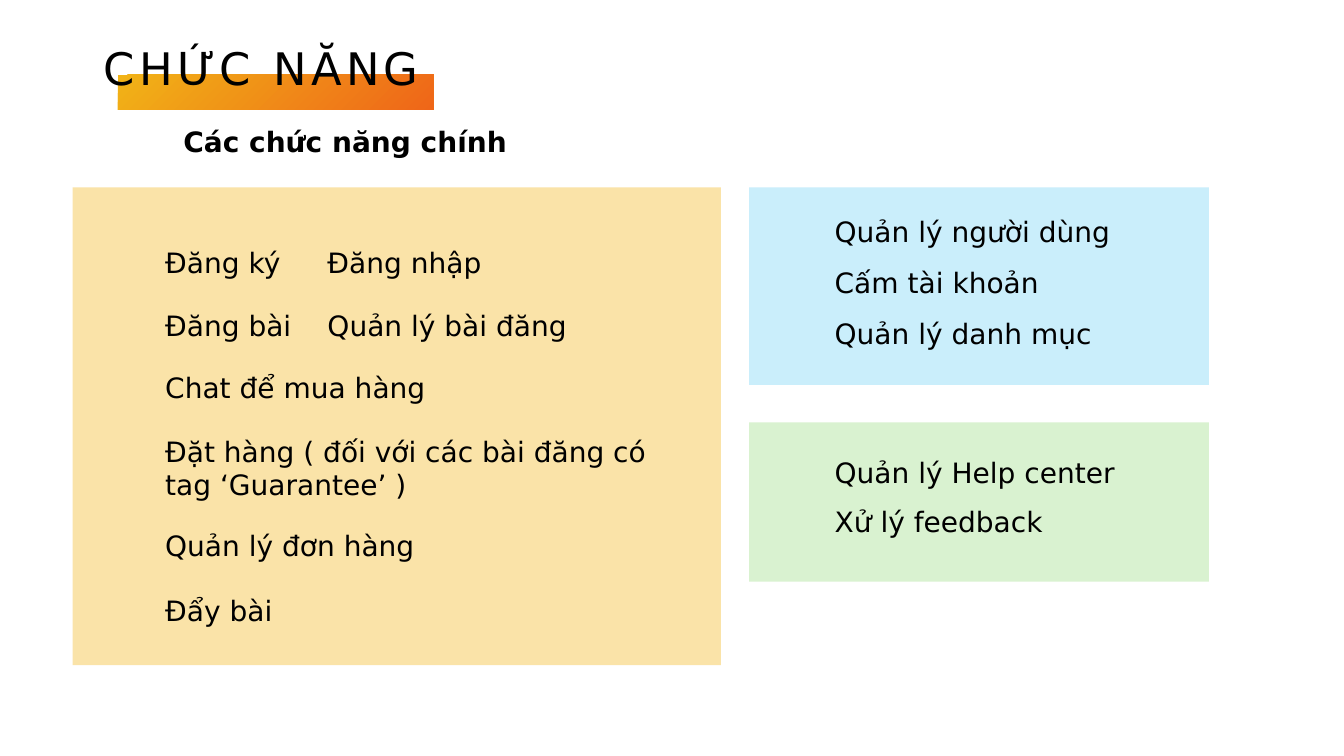
from pptx import Presentation
from pptx.dml.color import RGBColor
from pptx.enum import shapes, text
from pptx.util import Inches, Pt

BLACK = RGBColor(0x00, 0x00, 0x00)
AMBER = RGBColor(0xF1, 0xB3, 0x17)
ORANGE = RGBColor(0xEF, 0x66, 0x18)
SAND = RGBColor(0xFA, 0xE3, 0xA8)
SKY = RGBColor(0xCA, 0xEE, 0xFB)
MINT = RGBColor(0xD9, 0xF2, 0xD0)
FONT = "DejaVu Sans"


def add_panel(left, top, width, height):
    """Add a rectangle without line or shadow and return it for filling."""
    panel = page.shapes.add_shape(
        shapes.MSO_SHAPE.RECTANGLE,
        Inches(left), Inches(top), Inches(width), Inches(height))
    panel.shadow.inherit = False
    panel.line.fill.background()
    return panel


def add_label(parent, words, left, top, width, height, size=20, wrap=False):
    """Add a one-paragraph text box to a slide or group and return its run."""
    box = parent.shapes.add_textbox(
        Inches(left), Inches(top), Inches(width), Inches(height))
    frame = box.text_frame
    frame.word_wrap = wrap
    frame.vertical_anchor = text.MSO_ANCHOR.TOP
    span = frame.paragraphs[0].add_run()
    span.text = words
    span.font.name = FONT
    span.font.size = Pt(size)
    span.font.color.rgb = BLACK
    return span


deck = Presentation()
deck.slide_width = Inches(13.33)
deck.slide_height = Inches(7.5)
page = deck.slides.add_slide(deck.slide_layouts[6])

# Heading
title_bar = add_panel(1.17, 0.74, 3.13, 0.35)
title_bar.fill.gradient()
title_bar.fill.gradient_angle = 315
for stop, color in zip(title_bar.fill.gradient_stops, (AMBER, ORANGE)):
    stop.color.rgb = color

title = add_label(page, "CHỨC NĂNG", 0.93, 0.36, 3.37, 0.64, size=32)
title.font._element.set("spc", "300")
subtitle = add_label(page, "Các chức năng chính", 1.72, 1.19, 3.43, 0.44)
subtitle.font.bold = True

# Each panel: place, colour, and its labels as (words, left, top, width, height, wrap)
FIRST, SECOND, RIGHT = 1.54, 3.15, 8.18
PANELS = [
    ((0.72, 1.86, 6.43, 4.74), SAND, [
        ("Đăng ký", FIRST, 2.39, 1.37, 0.62, False),
        ("Đăng nhập", SECOND, 2.39, 1.74, 0.62, False),
        ("Đăng bài", FIRST, 3.01, 1.46, 0.62, False),
        ("Quản lý bài đăng", SECOND, 3.01, 2.6, 0.62, False),
        ("Chat để mua hàng", FIRST, 3.63, 2.81, 0.62, False),
        ("Đặt hàng ( đối với các bài đăng có tag ‘Guarantee’ )",
         FIRST, 4.26, 5.13, 1.09, True),
        ("Quản lý đơn hàng", FIRST, 5.19, 5.13, 0.44, True),
        ("Đẩy bài", FIRST, 5.84, 1.27, 0.62, False),
    ]),
    ((7.43, 1.86, 4.56, 1.96), SKY, [
        ("Quản lý người dùng", RIGHT, 2.08, 2.97, 0.48, False),
        ("Cấm tài khoản", RIGHT, 2.58, 2.25, 0.48, False),
        ("Quản lý danh mục", RIGHT, 3.09, 2.78, 0.48, False),
    ]),
    ((7.43, 4.19, 4.56, 1.58), MINT, [
        ("Quản lý Help center", RIGHT, 4.47, 3, 0.44, False),
        ("Xử lý feedback", RIGHT, 4.96, 2.28, 0.44, False),
    ]),
]

for place, color, labels in PANELS:
    panel = add_panel(*place)
    panel.fill.solid()
    panel.fill.fore_color.rgb = color
    group = page.shapes.add_group_shape()
    for words, left, top, width, height, wrap in labels:
        add_label(group, words, left, top, width, height, wrap=wrap)

deck.save("out.pptx")
